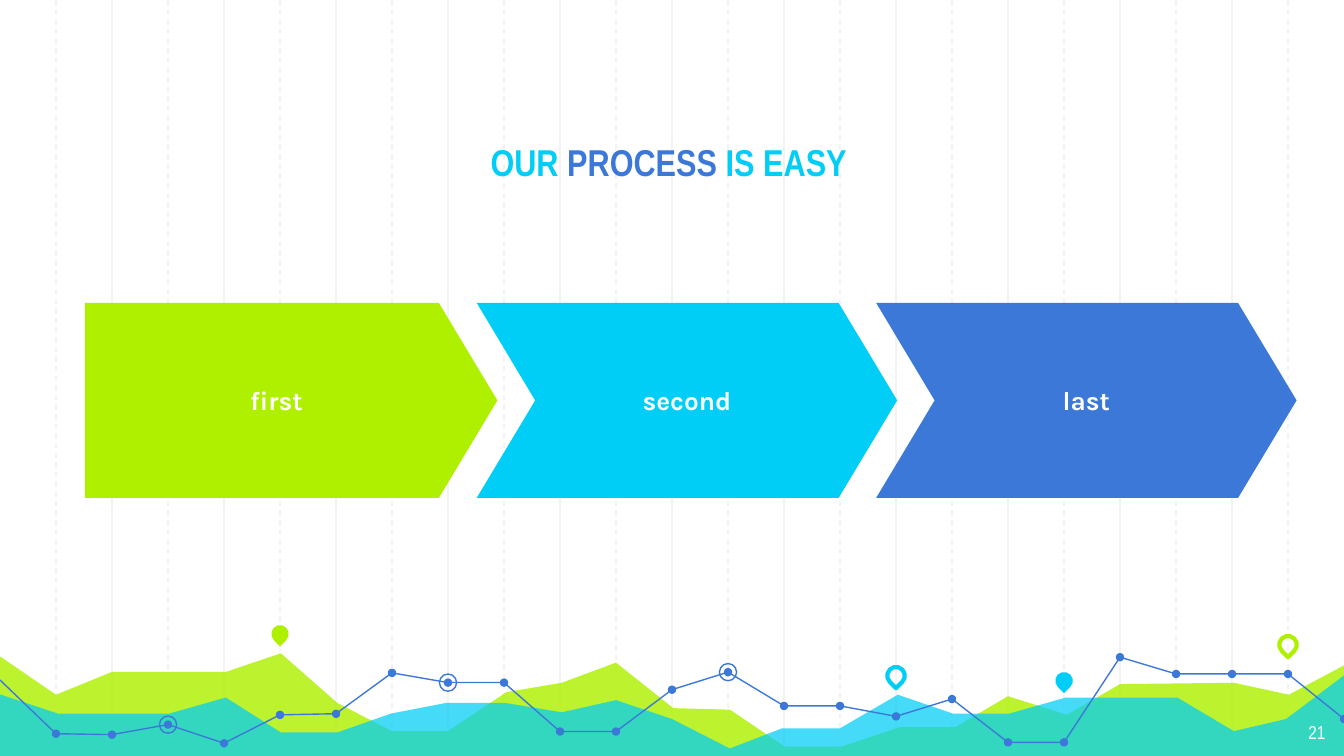
"""Build a three-step process slide over a decorative chart landscape."""
from dataclasses import dataclass

from lxml import etree
from pptx import Presentation
from pptx.dml.color import RGBColor
from pptx.enum.dml import MSO_LINE
from pptx.enum.shapes import MSO_CONNECTOR, MSO_SHAPE
from pptx.enum.text import MSO_ANCHOR, PP_ALIGN
from pptx.oxml.ns import qn
from pptx.util import Pt

DASH = MSO_LINE.DASH
STRAIGHT = MSO_CONNECTOR.STRAIGHT
OVAL, TEARDROP = MSO_SHAPE.OVAL, MSO_SHAPE.TEAR
PENTAGON, CHEVRON = MSO_SHAPE.PENTAGON, MSO_SHAPE.CHEVRON
TOP, MIDDLE, BOTTOM = MSO_ANCHOR.TOP, MSO_ANCHOR.MIDDLE, MSO_ANCHOR.BOTTOM
CENTER, RIGHT = PP_ALIGN.CENTER, PP_ALIGN.RIGHT


@dataclass(frozen=True)
class Theme:
    lime: str = "AFF000"
    cyan: str = "00CEF6"
    blue: str = "3C78D8"
    grid: str = "F3F3F3"
    white: str = "FFFFFF"
    head_font: str = "Arial Narrow"
    body_font: str = "Karla"
    title_size: int = 20
    step_size: int = 14
    number_size: int = 10
    thin: float = 0.75
    thick: float = 2.25


T = Theme()
WIDTH, HEIGHT = 720, 405
BLEED = 407
COLUMN = 30
DOT, RING, PIN = 4.5, 9.2, 9.4

LIME_AREA = [
    (-1.5, 350.6), (30, 372.2), (60, 360), (121, 360), (150.5, 350),
    (180.7, 376.6), (210, 391.7), (240, 391.7), (271.4, 370.8), (301, 365.8),
    (330, 355), (360.7, 379.4), (391, 380.2), (420.5, 400), (450.7, 400),
    (482.4, 389.5), (512, 389.5), (540, 373), (571.7, 383), (600, 366.5),
    (661, 365.8), (690.5, 372.2), (721.5, 355.7)]
CYAN_AREA = [
    (-1.5, 371.5), (31, 382.3), (90.7, 382.3), (121, 373.7), (150.5, 392.4),
    (180.7, 392.4), (209.5, 382.3), (239, 376.6), (270.7, 376.6), (301, 381.6),
    (330, 375.1), (360, 385.2), (391, 401), (419, 390.2), (450, 390.2),
    (481, 372.2), (510.5, 382.3), (540.7, 382.3), (571, 373.7),
    (630.7, 373.7), (661, 391.7), (689, 385.2), (721.5, 360.7)]
TREND = [
    364.3, 393.1, 393.6, 388.2, 398.2, 383, 382.4, 360.5, 365.7, 365.7, 391.9,
    391.9, 369.5, 360.1, 378.2, 378.2, 383.8, 374.5, 397.7, 397.7, 352.1,
    361.1, 361.1, 361.1, 385.2]
TREND_PARTS = [(0, 11), (11, 20), (20, 24)]
RING_COLUMNS = [3, 8, 13]


def paint(sp, fill=None, line=None, weight=T.thin, alpha=None):
    """Set the fill and outline of a shape and drop its shadow."""
    sp.shadow.inherit = False
    if fill:
        sp.fill.solid()
        sp.fill.fore_color.rgb = RGBColor.from_string(fill)
    else:
        sp.fill.background()
    if alpha:
        clr = sp._element.spPr.find(f"{qn('a:solidFill')}/{qn('a:srgbClr')}")
        etree.SubElement(clr, qn("a:alpha"), val=str(alpha * 1000))
    if line:
        sp.line.color.rgb = RGBColor.from_string(line)
        sp.line.width = Pt(weight)
    else:
        sp.line.fill.background()


def add_gridline(s, x, dashed):
    """Draw one vertical guide down the slide."""
    ln = s.shapes.add_connector(STRAIGHT, Pt(x), 0, Pt(x), Pt(BLEED))
    ln.line.color.rgb = RGBColor.from_string(T.grid)
    ln.line.width = Pt(T.thin)
    if dashed:
        ln.line.dash_style = DASH
    etree.SubElement(ln._element.spPr, qn("a:effectLst"))


def add_path(s, points, close, **look):
    """Draw a freeform through the points."""
    pts = [(Pt(x), Pt(y)) for x, y in points]
    fb = s.shapes.build_freeform(*pts[0], scale=1)
    fb.add_line_segments(pts[1:], close=close)
    paint(fb.convert_to_shape(), **look)


def add_area(s, ridge, color, alpha):
    """Fill the region between a ridge and the slide bottom."""
    add_path(s, ridge + [(WIDTH + 2, BLEED), (-2, BLEED)], True,
             fill=color, alpha=alpha)


def add_mark(s, kind, x, y, size, rotation=0, **look):
    """Place a small shape centred on a point."""
    sp = s.shapes.add_shape(kind, Pt(x - size / 2), Pt(y - size / 2),
                            Pt(size), Pt(size))
    sp.rotation = rotation
    paint(sp, **look)


def write(sp, runs, size, font, bold, align, anchor):
    """Fill a shape with one paragraph of coloured runs."""
    tf = sp.text_frame
    frame = {"word_wrap": True, "vertical_anchor": anchor}
    frame |= {f"margin_{side}": Pt(7.2)
              for side in ("left", "right", "top", "bottom")}
    for name, value in frame.items():
        setattr(tf, name, value)
    p = tf.paragraphs[0]
    p.alignment = align
    for text, color in runs:
        r = p.add_run()
        r.text = text
        for name, value in {"size": Pt(size), "name": font, "bold": bold}.items():
            setattr(r.font, name, value)
        r.font.color.rgb = RGBColor.from_string(color)


def add_text(s, box, runs, size, bold, align, anchor):
    """Add a text box in the heading font."""
    sp = s.shapes.add_textbox(*map(Pt, box))
    write(sp, runs, size, T.head_font, bold, align, anchor)


def add_step(s, kind, left, width, label, color):
    """Add one arrow of the process."""
    sp = s.shapes.add_shape(kind, Pt(left), Pt(162.3), Pt(width), Pt(104.4))
    sp.adjustments[0] = 0.3
    paint(sp, fill=color)
    write(sp, [(label, T.white)], T.step_size, T.body_font, True, CENTER, MIDDLE)


def add_trend(s):
    """Draw the trend line with its dots and rings."""
    points = [(COLUMN * i, y) for i, y in enumerate(TREND)]
    for first, last in TREND_PARTS:
        add_path(s, points[first:last + 1], False, line=T.blue)
    for x, y in points[1:]:
        add_mark(s, OVAL, x, y, DOT, fill=T.blue)
    for i in RING_COLUMNS:
        add_mark(s, OVAL, *points[i], RING, line=T.blue)


def add_landscape(s):
    """Draw the guides, areas, pins and trend."""
    for start, dashed in ((2, False), (1, True)):
        for i in range(start, 24, 2):
            add_gridline(s, COLUMN * i, dashed)
    add_area(s, LIME_AREA, T.lime, 82)
    add_area(s, CYAN_AREA, T.cyan, 73)
    for column, y, look in (
            (5, 339.6, {"fill": T.lime}),
            (16, 362, {"line": T.cyan, "weight": T.thick}),
            (19, 364.7, {"fill": T.cyan}),
            (23, 345.4, {"line": T.lime, "weight": T.thick})):
        add_mark(s, TEARDROP, COLUMN * column, y, PIN, 135, **look)
    add_trend(s)


def main():
    """Build and save the slide."""
    prs = Presentation()
    prs.slide_width, prs.slide_height = Pt(WIDTH), Pt(HEIGHT)
    s = prs.slides.add_slide(prs.slide_layouts[6])
    add_landscape(s)
    add_text(s, (82.8, 49.7, 550.8, 56.2),
             [("OUR ", T.cyan), ("PROCESS", T.blue), (" IS EASY", T.cyan)],
             T.title_size, True, CENTER, BOTTOM)
    for kind, left, width, label, color in (
            (PENTAGON, 45.5, 221, "first", T.lime),
            (CHEVRON, 255.4, 225.2, "second", T.cyan),
            (CHEVRON, 469.4, 225.2, "last", T.blue)):
        add_step(s, kind, left, width, label, color)
    add_text(s, (673.9, 380.2, 43.2, 25.2), [("21", T.white)],
             T.number_size, False, RIGHT, TOP)
    prs.save("out.pptx")


if __name__ == "__main__":
    main()
